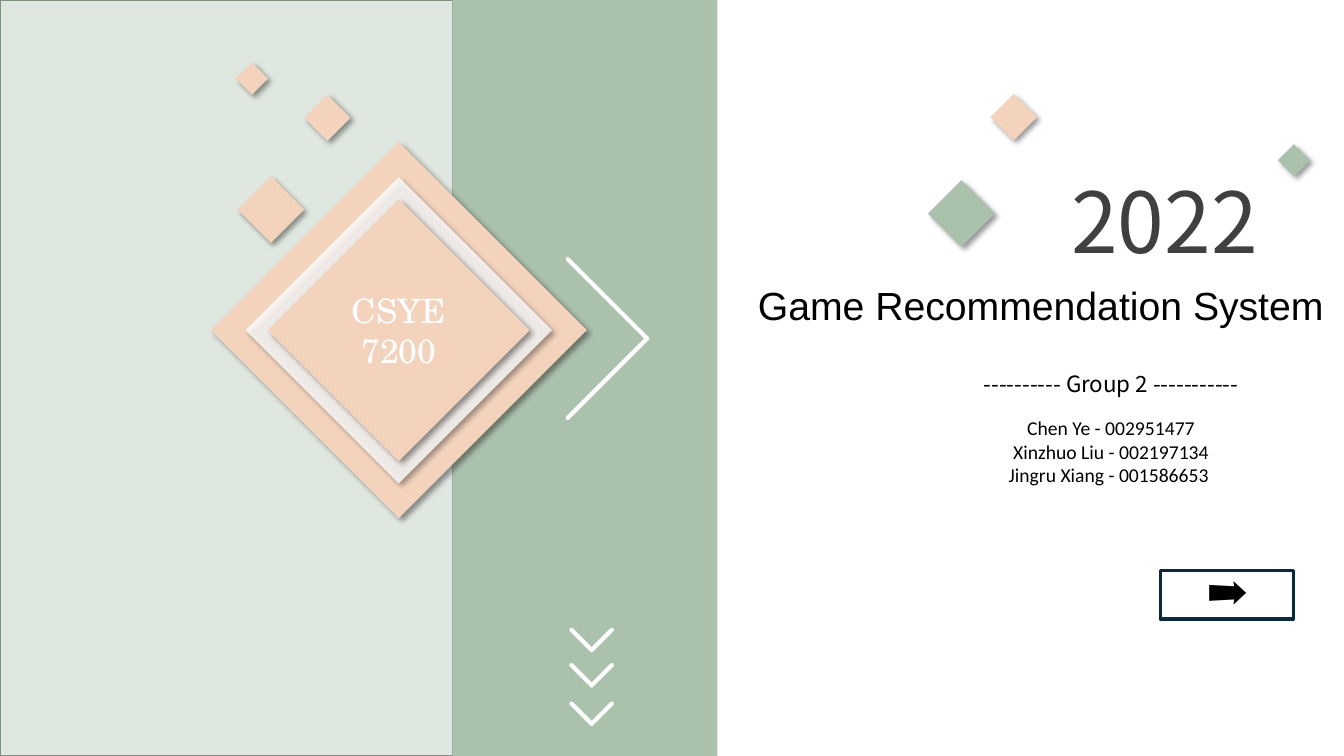
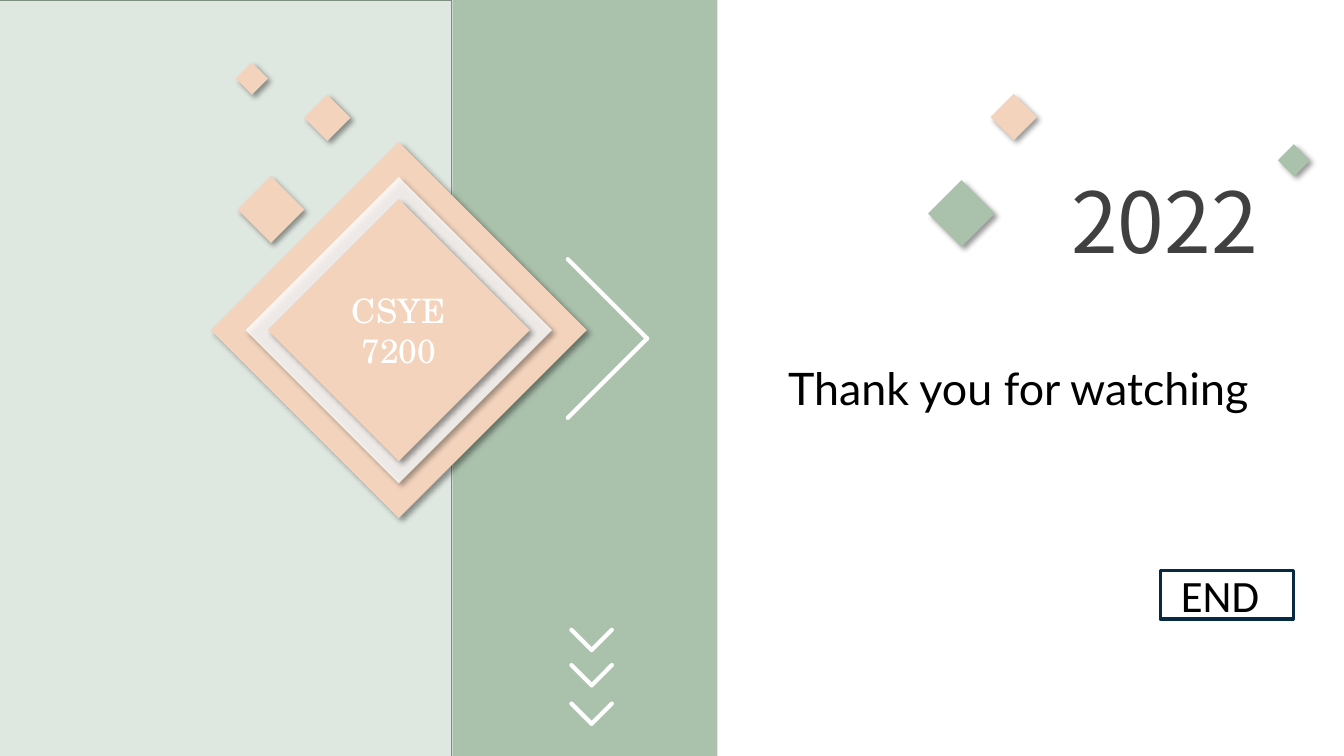
"""Build the opening and closing slides of a course presentation."""
from dataclasses import dataclass

from lxml.etree import SubElement
from pptx import Presentation
from pptx.dml.color import RGBColor
from pptx.dml.fill import FillFormat
from pptx.enum.shapes import MSO_CONNECTOR, MSO_SHAPE
from pptx.enum.text import MSO_ANCHOR, PP_ALIGN
from pptx.oxml.ns import qn
from pptx.shapes.autoshape import Shape
from pptx.slide import Slide
from pptx.text.text import TextFrame
from pptx.util import Cm, Pt

SAGE, PEACH, WHITE, BLACK = "AAC2AC", "F3D3BC", "FFFFFF", "000000"
BAND_EDGE, YEAR_GREY, BUTTON_NAVY = "7E907F", "404040", "072942"
WIDTH, HEIGHT = 33.87, 19.05
BAND_SPLIT, BAND_END = 11.4, 18.08
SANS, SERIF, BODY = "Noto Sans CJK SC", "TeX Gyre Schola", "Calibri"


@dataclass(frozen=True)
class Box:
    left: float
    top: float
    width: float
    height: float

    def lengths(self) -> tuple[Cm, Cm, Cm, Cm]:
        return Cm(self.left), Cm(self.top), Cm(self.width), Cm(self.height)


@dataclass(frozen=True)
class Diamond:
    x: float
    y: float
    size: float
    colour: str = PEACH
    opacity: int = 100
    label: str = ""


@dataclass(frozen=True)
class Chevron:
    tip_x: float
    tip_y: float
    arms: tuple[tuple[float, float], tuple[float, float]]


EMBLEM = [
    Diamond(10.05, 8.32, 9.47),
    Diamond(10.05, 8.32, 7.72, WHITE, 81),
    Diamond(10.05, 8.32, 6.6, label="CSYE 7200"),
    Diamond(6.83, 5.28, 1.68),
    Diamond(8.25, 2.97, 1.17),
    Diamond(6.35, 1.98, 0.81),
]
YEAR_DIAMONDS = [
    Diamond(24.23, 5.38, 1.68, SAGE),
    Diamond(25.55, 2.95, 1.17),
    Diamond(32.61, 4.04, 0.81, SAGE),
]
RIGHT_CHEVRONS = [Chevron(16.31, 8.53, ((-2, 2), (-2, -2)))]
DOWN_CHEVRONS = [
    Chevron(14.91, tip_y, ((0.51, -0.51), (-0.51, -0.51)))
    for tip_y in (17.27, 16.38, 18.24)
]


def colour(value: str) -> RGBColor:
    return RGBColor.from_string(value)


def set_fill(fill: FillFormat, value: str, opacity: int = 100) -> None:
    fill.solid()
    fill.fore_color.rgb = colour(value)
    if opacity < 100:
        element = fill._xPr.find(".//" + qn("a:srgbClr"))
        SubElement(element, qn("a:alpha"), val=str(opacity * 1000))


def write_text(frame: TextFrame, text: str, *, size: float, font: str = BODY,
               value: str = BLACK, align: PP_ALIGN = PP_ALIGN.LEFT) -> None:
    frame.word_wrap = True
    for index, line in enumerate(text.split("\n")):
        paragraph = frame.paragraphs[0] if index == 0 else frame.add_paragraph()
        paragraph.alignment = align
        run = paragraph.add_run()
        run.text = line
        run.font.size = Pt(size)
        run.font.name = font
        run.font.color.rgb = colour(value)


def add_text(slide: Slide, box: Box, text: str, **text_format) -> None:
    write_text(slide.shapes.add_textbox(*box.lengths()).text_frame, text, **text_format)


def add_block(slide: Slide, kind: MSO_SHAPE, box: Box, *, fill: str | None = None,
              opacity: int = 100, line: str | None = None, weight: float = 1) -> Shape:
    shape = slide.shapes.add_shape(kind, *box.lengths())
    shape.shadow.inherit = False
    if fill:
        set_fill(shape.fill, fill, opacity)
    else:
        shape.fill.background()
    if line:
        shape.line.color.rgb = colour(line)
        shape.line.width = Pt(weight)
    else:
        shape.line.fill.background()
    return shape


def add_shadow(shape: Shape) -> None:
    effects = shape._element.spPr.find(qn("a:effectLst"))
    shadow = SubElement(effects, qn("a:outerShdw"), blurRad=str(Pt(4)), dist=str(Pt(3)),
                        dir="2700000", algn="tl", rotWithShape="0")
    shade = SubElement(shadow, qn("a:srgbClr"), val=BLACK)
    SubElement(shade, qn("a:alpha"), val="40000")


def add_diamonds(slide: Slide, diamonds: list[Diamond]) -> None:
    for item in diamonds:
        half = item.size / 2
        box = Box(item.x - half, item.y - half, item.size, item.size)
        shape = add_block(slide, MSO_SHAPE.DIAMOND, box, fill=item.colour, opacity=item.opacity)
        add_shadow(shape)
        if item.label:
            shape.text_frame.vertical_anchor = MSO_ANCHOR.MIDDLE
            write_text(shape.text_frame, item.label, size=24, font=SERIF, value=WHITE,
                       align=PP_ALIGN.CENTER)


def add_chevrons(slide: Slide, chevrons: list[Chevron]) -> None:
    group = slide.shapes.add_group_shape()
    for chevron in chevrons:
        for across, down in chevron.arms:
            connector = group.shapes.add_connector(
                MSO_CONNECTOR.STRAIGHT,
                Cm(chevron.tip_x + across), Cm(chevron.tip_y + down),
                Cm(chevron.tip_x), Cm(chevron.tip_y))
            connector.line.color.rgb = colour(WHITE)
            connector.line.width = Pt(3)
            properties = connector._element.spPr
            properties.find(qn("a:ln")).set("cap", "rnd")
            SubElement(properties, qn("a:effectLst"))


def add_frame_slide(presentation: Presentation, light_band: Box) -> Slide:
    slide = presentation.slides.add_slide(presentation.slide_layouts[6])
    set_fill(slide.background.fill, WHITE)
    add_block(slide, MSO_SHAPE.RECTANGLE, light_band, fill=SAGE, opacity=37, line=BAND_EDGE)
    add_block(slide, MSO_SHAPE.RECTANGLE,
              Box(BAND_SPLIT, 0, BAND_END - BAND_SPLIT, HEIGHT), fill=SAGE)
    add_diamonds(slide, EMBLEM)
    add_chevrons(slide, RIGHT_CHEVRONS)
    add_chevrons(slide, DOWN_CHEVRONS)
    add_text(slide, Box(26.75, 4.14, 7.04, 2.82), "2022", size=60, font=SANS, value=YEAR_GREY)
    add_diamonds(slide, YEAR_DIAMONDS)
    add_block(slide, MSO_SHAPE.RECTANGLE, Box(29.24, 14.38, 3.35, 1.22),
              line=BUTTON_NAVY, weight=2.25)
    return slide


def add_opening(presentation: Presentation) -> None:
    slide = add_frame_slide(presentation, Box(0, 0, BAND_SPLIT, HEIGHT))
    centre = PP_ALIGN.CENTER
    add_text(slide, Box(18.67, 6.96, 15.11, 1.45), "Game Recommendation System",
             size=28, font="Arial", align=centre)
    add_text(slide, Box(21.31, 9.19, 13.39, 0.94), "---------- Group 2 -----------",
             size=16, font=SANS, align=centre)
    add_text(slide, Box(23.01, 10.36, 9.98, 2.06),
             "Chen Ye - 002951477\nXinzhuo Liu - 002197134\nJingru Xiang - 001586653 ",
             size=14, align=centre)
    add_text(slide, Box(30.18, 14.12, 1.7, 1.45), "➡️", size=28)


def add_closing(presentation: Presentation) -> None:
    slide = add_frame_slide(presentation, Box(-0.38, 0, 11.76, 19.51))
    add_text(slide, Box(19.61, 8.97, 13.39, 1.63), "Thank you for watching",
             size=32, font="Lato")
    add_text(slide, Box(29.51, 14.17, 3.05, 1.63), "END", size=32)


def main() -> None:
    presentation = Presentation()
    presentation.slide_width = Cm(WIDTH)
    presentation.slide_height = Cm(HEIGHT)
    add_opening(presentation)
    add_closing(presentation)
    presentation.save("out.pptx")


if __name__ == "__main__":
    main()
